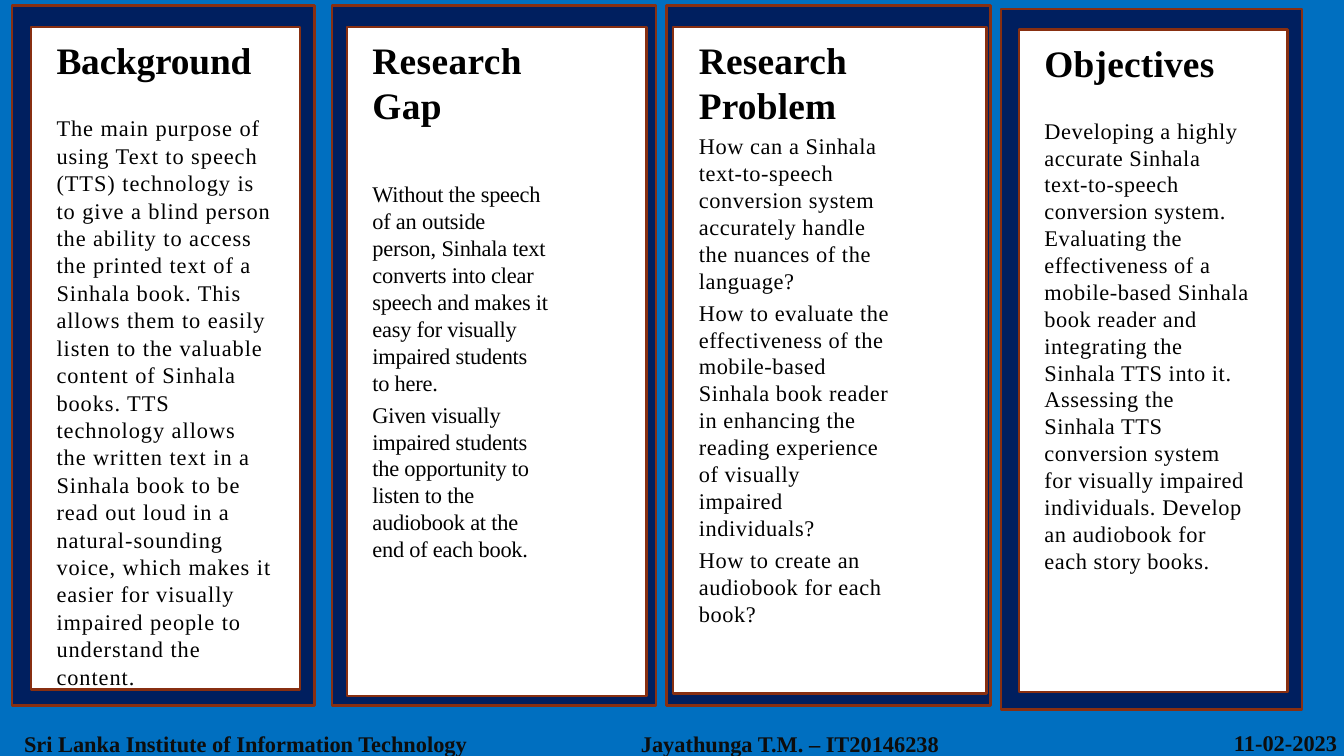
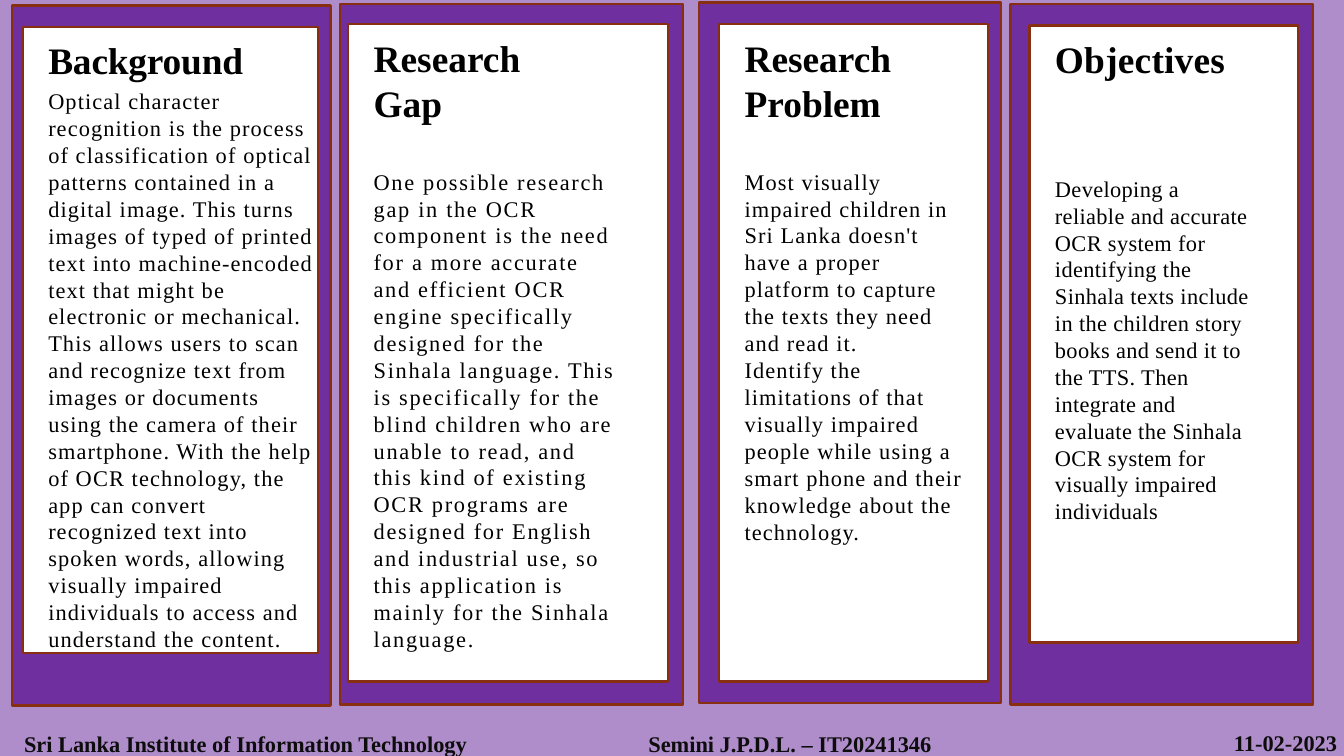
from dataclasses import dataclass

from lxml import etree
from pptx import Presentation
from pptx.dml.color import RGBColor
from pptx.enum.shapes import MSO_SHAPE as SHAPE
from pptx.enum.text import MSO_ANCHOR as ANCHOR, PP_ALIGN as ALIGN
from pptx.oxml.ns import qn
from pptx.util import Pt


@dataclass(frozen=True)
class Theme:
    """Colours, type sizes and lengths in points shared by the slides."""
    font: str = "Times New Roman"
    navy: str = "001F5F"
    blue: str = "006FC0"
    purple: str = "6F2F9F"
    rust: str = "882F11"
    white: str = "FFFFFF"
    black: str = "000000"
    footer: str = "0D0D0D"
    heading_size: float = 20
    body_size: float = 12
    width: float = 720
    height: float = 405
    frame_height: float = 375.2
    line: float = 1.25
    indent: float = 13.7


@dataclass(frozen=True)
class Card:
    """One framed column: frame is left, top, width; panel adds height."""
    frame: tuple
    panel: tuple
    heading: str
    body: tuple
    heading_spc: float = 0
    spc: float = 0
    right: float = 0
    gap: float = 2.8
    between: float = 2.8
    leading: float = 1


T = Theme()


def add_text(tf, text, size=T.body_size, color=T.black, bold=False, align=ALIGN.LEFT,
             before=0, leading=1, left=0, right=0, spc=0):
    """Add a paragraph to a text frame, using its first one while it is empty."""
    p = tf.paragraphs[0]
    if p.runs:
        p = tf.add_paragraph()
    p.alignment = align
    p.space_before = Pt(before)
    p.line_spacing = float(leading)
    pPr = p._p.get_or_add_pPr()
    pPr.set("marL", str(Pt(left)))
    pPr.set("marR", str(Pt(right)))
    pPr.set("indent", "0")
    r = p.add_run()
    r.text = text
    r.font.name = T.font
    r.font.size = Pt(size)
    r.font.bold = bold
    r.font.color.rgb = RGBColor.from_string(color)
    r._r.get_or_add_rPr().set("spc", str(round(spc * 100)))
    return p


class Deck:
    """Hold the style and the current slide, and draw each kind of element."""

    def __init__(self, theme):
        """Start an empty presentation."""
        self.theme = theme
        self.prs = Presentation()
        self.prs.slide_width = Pt(theme.width)
        self.prs.slide_height = Pt(theme.height)
        self.s = None

    def slide(self, color, alpha=100):
        """Add a blank slide covered with a colour."""
        self.s = self.prs.slides.add_slide(self.prs.slide_layouts[6])
        sp = self.rect(0, 0, self.theme.width, self.theme.height, color, outlined=False)
        if alpha < 100:
            clr = sp._element.spPr.find(qn("a:solidFill"))[0]
            etree.SubElement(clr, qn("a:alpha")).set("val", str(alpha * 1000))

    def rect(self, left, top, width, height, color, outlined=True):
        """Draw a filled rectangle."""
        sp = self.s.shapes.add_shape(SHAPE.RECTANGLE, Pt(left), Pt(top), Pt(width), Pt(height))
        sp.shadow.inherit = False
        sp.fill.solid()
        sp.fill.fore_color.rgb = RGBColor.from_string(color)
        if outlined:
            sp.line.color.rgb = RGBColor.from_string(self.theme.rust)
            sp.line.width = Pt(self.theme.line)
        else:
            sp.line.fill.background()
        return sp

    def frame(self, sp, top):
        """Prepare the text frame of a shape."""
        tf = sp.text_frame
        tf.word_wrap = True
        tf.vertical_anchor = ANCHOR.TOP
        tf.margin_left = tf.margin_right = tf.margin_bottom = 0
        tf.margin_top = Pt(top)
        return tf

    def card(self, card, color):
        """Draw a coloured frame with its white text panel."""
        t = self.theme
        self.rect(*card.frame, t.frame_height, color)
        tf = self.frame(self.rect(*card.panel, t.white), 5.7)
        for line in card.heading.split("\n"):
            add_text(tf, line, size=t.heading_size, bold=True, left=t.indent,
                     right=card.right, spc=card.heading_spc)
        for i, text in enumerate(card.body):
            add_text(tf, text, before=card.between if i else card.gap, leading=card.leading,
                     left=t.indent, right=card.right, spc=card.spc)

    def footer(self, author):
        """Write the institute, the author and the date."""
        for text, left, top, width, align in (
            ("Sri Lanka Institute of Information Technology", 0, 389.5, 263.5, ALIGN.CENTER),
            (author, 264.2, 389.5, 318.2, ALIGN.CENTER),
            ("11-02-2023", 581.8, 388.8, 134.6, ALIGN.RIGHT),
        ):
            sp = self.s.shapes.add_textbox(Pt(left), Pt(top), Pt(width), Pt(15.8))
            add_text(self.frame(sp, 1.7), text, color=self.theme.footer, bold=True, align=align)


SPEECH_CARDS = (
    Card((6.5, 2.9, 162), (16.6, 14.4, 144, 355), "Background", (
        "The main purpose of using Text to speech (TTS) technology is to give a blind person "
        "the ability to access the printed text of a Sinhala book. This allows them to easily "
        "listen to the valuable content of Sinhala books. TTS technology allows the written "
        "text in a Sinhala book to be read out loud in a natural-sounding voice, which makes "
        "it easier for visually impaired people to understand the content.",
    ), heading_spc=-0.1, spc=0.5, right=14.8, gap=17, leading=1.02),
    Card((177.8, 2.9, 173.5), (185.8, 14.4, 160.5, 358.6), "Research Gap", (
        "Without the speech of an outside person, Sinhala text converts into clear speech and "
        "makes it easy for visually impaired students to here.",
        "Given visually impaired students the opportunity to listen to the audiobook at the "
        "end of each book.",
    ), heading_spc=0.2, spc=-0.1, right=52.1, gap=28.6),
    Card((357.1, 2.9, 173.5), (360.7, 14.4, 167.8, 357.1), "Research Problem", (
        "How can a Sinhala text-to-speech conversion system accurately handle the nuances of "
        "the language?",
        "How to evaluate the effectiveness of the mobile-based Sinhala book reader in "
        "enhancing the reading experience of visually impaired individuals?",
        "How to create an audiobook for each book?",
    ), heading_spc=0.1, spc=0.3, right=51.8),
    Card((536.4, 5, 161.3), (545.8, 15.8, 144, 355), "Objectives", (
        "Developing a highly accurate Sinhala text-to-speech conversion system. Evaluating "
        "the effectiveness of a mobile-based Sinhala book reader and integrating the Sinhala "
        "TTS into it. Assessing the Sinhala TTS conversion system for visually impaired "
        "individuals. Develop an audiobook for each story books.",
    ), heading_spc=0.1, spc=0.3, right=20.2, gap=17.1),
)

OCR_CARDS = (
    Card((6.5, 2.9, 170.6), (12.2, 14.4, 158.4, 335.5), "Background", (
        "Optical character recognition is the process of classification of optical patterns "
        "contained in a digital image. This turns images of typed of printed text into "
        "machine-encoded text that might be electronic or mechanical. This allows users to "
        "scan and recognize text from images or documents using the camera of their "
        "smartphone. With the help of OCR technology, the app can convert recognized text "
        "into spoken words, allowing visually impaired individuals to access and understand "
        "the content.",
    ), heading_spc=-0.1, spc=0.6),
    Card((182.2, 2.2, 183.6), (186.5, 13, 171.4, 352.1), "Research\nGap", (
        "One possible research gap in the OCR component is the need for a more accurate and "
        "efficient OCR engine specifically designed for the Sinhala language. This is "
        "specifically for the blind children who are unable to read, and this kind of "
        "existing OCR programs are designed for English and industrial use, so this "
        "application is mainly for the Sinhala language.",
    ), spc=0.9, right=26.7, gap=23.2),
    Card((374.4, 1.4, 162), (385.2, 13, 144, 352.1), "Research\nProblem", (
        "Most visually impaired children in Sri Lanka doesn't have a proper platform to "
        "capture the texts they need and read it.",
        "Identify the limitations of that visually impaired people while using a smart phone "
        "and their knowledge about the technology.",
    ), spc=0.6, right=13, gap=23.2, between=0.2),
    Card((541.4, 2.2, 162), (551.5, 13.7, 144, 330.5), "Objectives", (
        "Developing a reliable and accurate OCR system for identifying the Sinhala texts "
        "include in the children story books and send it to the TTS. Then integrate and "
        "evaluate the Sinhala OCR system for visually impaired individuals",
    ), heading_spc=0.1, spc=0.2, right=24.5, gap=50.3),
)


def main():
    """Build both slides and save the file."""
    deck = Deck(T)
    for cards, back, alpha, color, author in (
        (SPEECH_CARDS, T.blue, 100, T.navy, "Jayathunga T.M. – IT20146238"),
        (OCR_CARDS, T.purple, 55, T.purple, "Semini J.P.D.L. – IT20241346"),
    ):
        deck.slide(back, alpha)
        for card in cards:
            deck.card(card, color)
        deck.footer(author)
    deck.prs.save("out.pptx")


if __name__ == "__main__":
    main()
